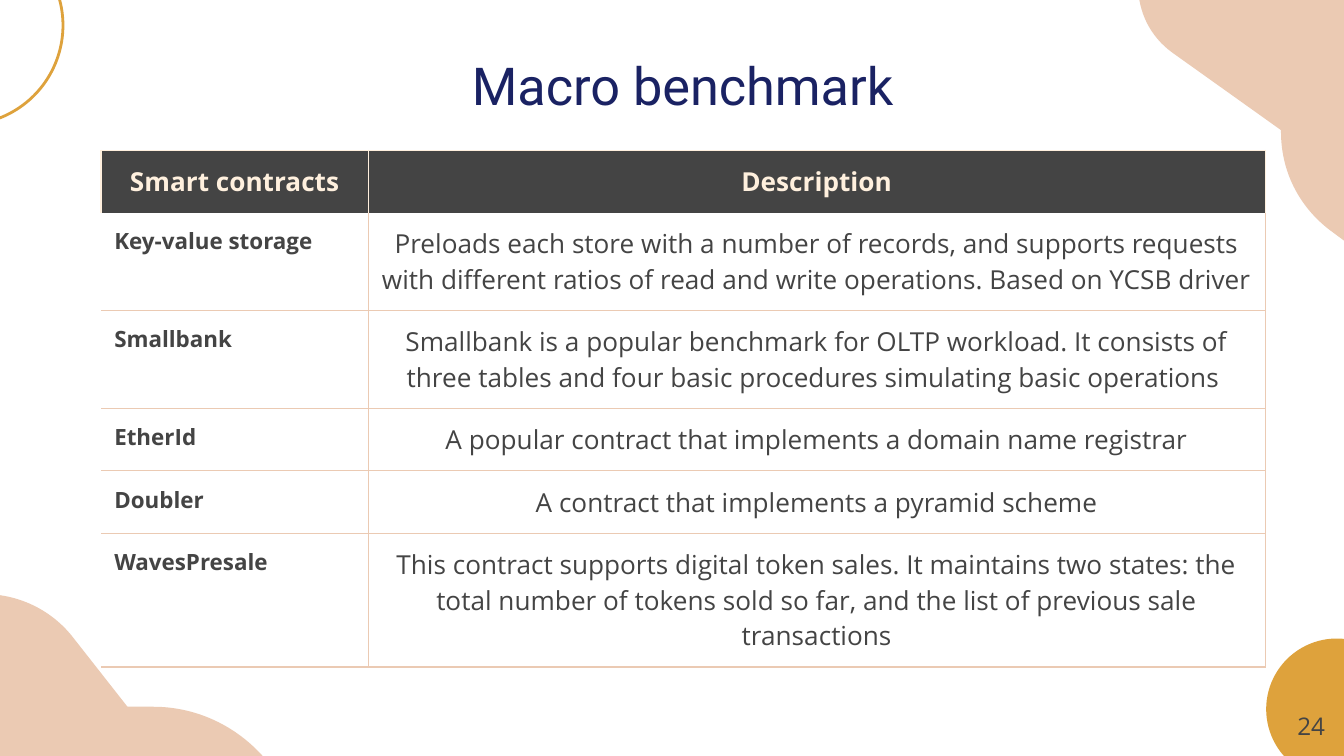
"""Build the macro benchmark slide with its table of smart contracts."""
from lxml import etree
from pptx import Presentation
from pptx import util as u
from pptx.dml.color import RGBColor
from pptx.enum import shapes, text
from pptx.oxml import ns

COLORS = {"peach": "EBCAB3", "gold": "DEA23C", "navy": "1A2263",
          "dark": "444444", "cream": "FFF0DE"}
PAD = u.Cm(0.25)


def style(p, size, font, color, align, bold=False):
    p.alignment = align
    for r in p.runs:
        r.font.size = u.Pt(size)
        r.font.name = font
        r.font.bold = bold
        r.font.color.rgb = RGBColor.from_string(COLORS[color])


def borders(cell, sides, color):
    tc_pr = cell._tc.get_or_add_tcPr()
    for i, side in enumerate("LRTB"):
        ln = etree.Element(ns.qn(f"a:ln{side}"), w=str(u.Pt(0.75)))
        if side in sides:
            fill = etree.SubElement(ln, ns.qn("a:solidFill"))
            etree.SubElement(fill, ns.qn("a:srgbClr"), val=COLORS[color])
        else:
            etree.SubElement(ln, ns.qn("a:noFill"))
        tc_pr.insert(i, ln)


prs = Presentation()
prs.slide_width, prs.slide_height = u.Cm(25.4), u.Cm(14.29)
s = prs.slides.add_slide(prs.slide_layouts[6])

blobs = [
    [(-0.3, 11.23), (-0.3, 13.56), (-0.3, 14.12, 0.15, 14.61, 0.71, 14.61),
     (5.21, 14.61), (5, 14.33), (4.47, 13.72, 3.71, 13.36, 2.9, 13.36),
     (2.41, 13.36), (1.35, 12.01), (0.94, 11.51, 0.33, 11.23, -0.3, 11.23)],
    [(21.51, -0.28), (21.51, 0.23, 21.74, 0.69, 22.15, 0.99),
     (24.21, 2.46), (24.21, 2.49), (24.21, 3.23, 24.54, 3.89, 25.12, 4.34),
     (25.78, 4.83), (25.78, 0.58), (25.78, 0.1, 25.4, -0.28, 24.92, -0.28)],
]
for start, *segments in blobs:
    fb = s.shapes.build_freeform(*(u.Cm(v) for v in start))
    fb.add_line_segments([(u.Cm(seg[-2]), u.Cm(seg[-1])) for seg in segments])
    sp = fb.convert_to_shape()
    for line, seg in zip(list(sp._element.iter(ns.qn("a:lnTo"))), segments):
        if len(seg) == 6:
            line.tag = ns.qn("a:cubicBezTo")
            for k in (0, 2):
                pt = etree.Element(ns.qn("a:pt"), x=str(u.Cm(seg[k]) - sp.left),
                                   y=str(u.Cm(seg[k + 1]) - sp.top))
                line.insert(k // 2, pt)
    sp.shadow.inherit = False
    sp.fill.solid()
    sp.fill.fore_color.rgb = RGBColor.from_string(COLORS["peach"])
    sp.line.fill.background()

gold = RGBColor.from_string(COLORS["gold"])
for x, y, size, filled in [(-2.57, -1.4, 3.76, False), (23.93, 12.07, 2.67, True)]:
    sp = s.shapes.add_shape(shapes.MSO_SHAPE.OVAL, u.Cm(x), u.Cm(y), u.Cm(size), u.Cm(size))
    sp.shadow.inherit = False
    if filled:
        sp.fill.solid()
        sp.fill.fore_color.rgb = gold
        sp.line.fill.background()
    else:
        sp.fill.background()
        sp.line.color.rgb = gold
        sp.line.width = u.Pt(1.5)

CENTER, LEFT, RIGHT = text.PP_ALIGN.CENTER, text.PP_ALIGN.LEFT, text.PP_ALIGN.RIGHT
MIDDLE, TOP = text.MSO_ANCHOR.MIDDLE, text.MSO_ANCHOR.TOP
labels = [
    ("Macro benchmark", (2.18, 0.8, 21.44, 1.6), MIDDLE, 28, "Roboto", "navy", CENTER),
    ("24", (23.77, 13.19, 1.52, 1.09), TOP, 13, "Open Sans", "dark", RIGHT),
]
for words, box, anchor, size, font, color, align in labels:
    tf = s.shapes.add_textbox(*(u.Cm(v) for v in box)).text_frame
    tf.word_wrap = True
    tf.vertical_anchor = anchor
    tf.margin_left = tf.margin_right = tf.margin_top = tf.margin_bottom = PAD
    tf.text = words
    style(tf.paragraphs[0], size, font, color, align)

rows = [
    ("Smart contracts", "Description"),
    ("Key-value storage", "Preloads each store with a number of records, and supports requests "
     "with different ratios of read and write operations. Based on YCSB driver"),
    ("Smallbank", "Smallbank is a popular benchmark for OLTP workload. It consists of "
     "three tables and four basic procedures simulating basic operations "),
    ("EtherId", "A popular contract that implements a domain name registrar"),
    ("Doubler", "A contract that implements a pyramid scheme"),
    ("WavesPresale", "This contract supports digital token sales. It maintains two states: the\n"
     "total number of tokens sold so far, and the list of previous sale transactions"),
]
heights = [1.18, 1.85, 1.85, 1.18, 1.18, 2.53]
widths = [5.05, 16.95]
table = s.shapes.add_table(len(rows), 2, u.Cm(1.91), u.Cm(2.84),
                           u.Cm(sum(widths)), u.Cm(sum(heights))).table
table.first_row = table.horz_banding = False
for col, width in zip(table.columns, widths):
    col.width = u.Cm(width)
for i, (row, height) in enumerate(zip(rows, heights)):
    table.rows[i].height = u.Cm(height)
    for j, words in enumerate(row):
        cell = table.cell(i, j)
        cell.margin_left = cell.margin_right = cell.margin_top = cell.margin_bottom = PAD
        cell.text_frame.text = words
        header, name = i == 0, j == 0
        if header:
            cell.fill.solid()
            cell.fill.fore_color.rgb = RGBColor.from_string(COLORS["dark"])
            borders(cell, "LRT", "cream")
        else:
            cell.fill.background()
            borders(cell, ("RB" if name else "LRB") + ("T" if i > 1 else ""), "peach")
        for p in cell.text_frame.paragraphs:
            style(p, 12 if name and not header else 14, "Open Sans",
                  "cream" if header else "dark",
                  LEFT if name and not header else CENTER, header or name)

prs.save("out.pptx")
